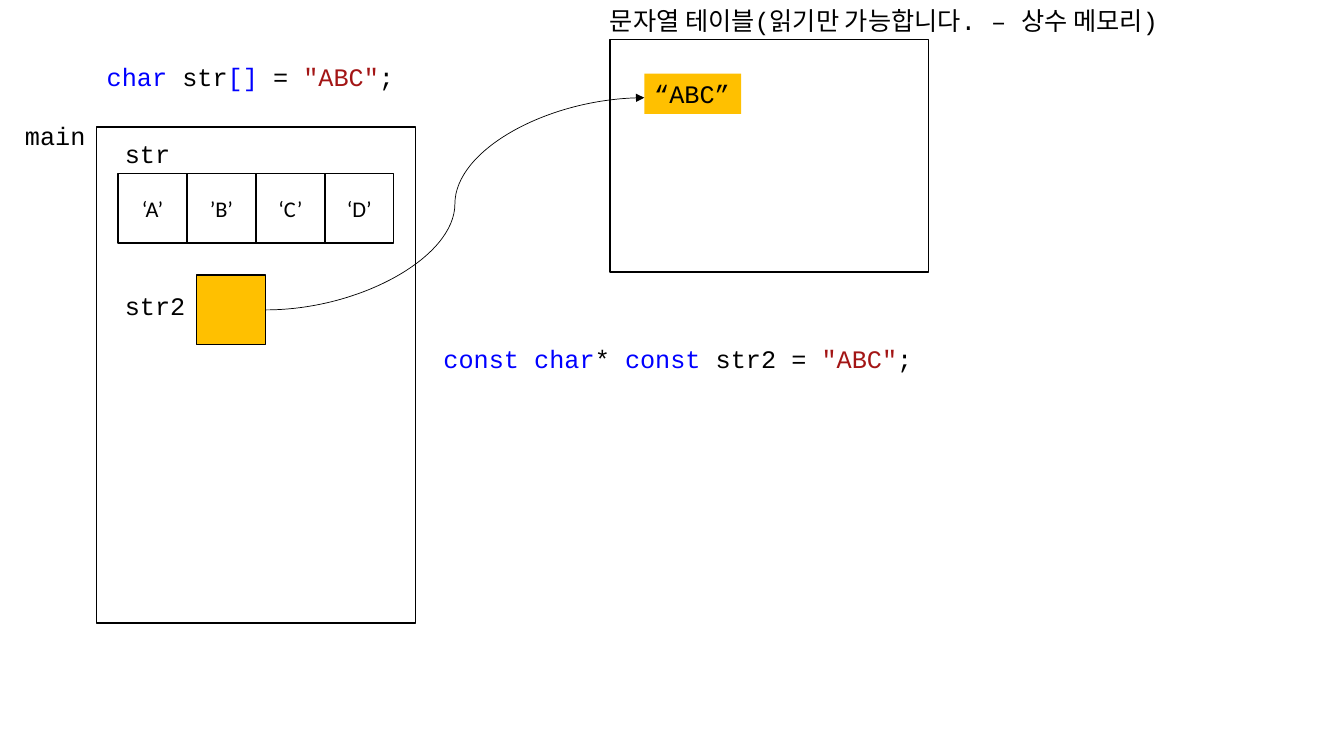
from dataclasses import dataclass
from lxml.etree import SubElement
from pptx import Presentation
from pptx.dml.color import RGBColor
from pptx.enum.shapes import MSO_CONNECTOR, MSO_SHAPE
from pptx.enum.text import MSO_ANCHOR, MSO_AUTO_SIZE, PP_ALIGN
from pptx.oxml.ns import qn
from pptx.util import Inches, Pt


@dataclass(frozen=True)
class Theme:
    ink: str = "000000"
    paper: str = "FFFFFF"
    gold: str = "FFC000"
    key: str = "0000FF"
    quote: str = "A31515"
    code: str = "Courier New"
    plain: str = "Calibri"
    large: int = 18
    small: int = 16
    edge: float = 1
    thin: float = 0.5


look = Theme()
deck = Presentation()
deck.slide_width, deck.slide_height = Inches(13.33), Inches(7.5)
slide = deck.slides.add_slide(deck.slide_layouts[6])
shapes = slide.shapes
label_form = dict(word_wrap=False, auto_size=MSO_AUTO_SIZE.SHAPE_TO_FIT_TEXT)
cell_form = dict(word_wrap=True, vertical_anchor=MSO_ANCHOR.MIDDLE)
row = 5.33


def style(item, form):
    for name, value in form.items():
        setattr(item, name, value)


def across(share):
    return round(deck.slide_width * share / 100)


def down(share):
    return round(deck.slide_height * share / 100)


def place(box, x, y, w, h):
    return across(box[0] + x), down(box[1] + y), across(w), down(h)


def write(shape, runs, form, font=look.code, size=look.large, align=PP_ALIGN.LEFT):
    style(shape.text_frame, form)
    line = shape.text_frame.paragraphs[0]
    line.alignment = align
    for text, tint in runs:
        run = line.add_run()
        run.text = text
        style(run.font, dict(name=font, size=Pt(size)))
        run.font.color.rgb = RGBColor.from_string(tint)


def label(box, x, y, w, runs):
    write(shapes.add_textbox(*place(box, x, y, w, row)), runs, label_form)


def block(box, x, y, w, h, fill=look.paper, edge=True):
    shape = shapes.add_shape(MSO_SHAPE.RECTANGLE, *place(box, x, y, w, h))
    shape.shadow.inherit = False
    shape.fill.solid()
    shape.fill.fore_color.rgb = RGBColor.from_string(fill)
    if edge:
        shape.line.color.rgb = RGBColor.from_string(look.ink)
        shape.line.width = Pt(look.edge)
    else:
        shape.line.fill.background()
    return shape


def draw_stack(box):
    side, high = 5.13, 9.2
    block(box, 0, 0, *box[2:])
    label(box, -6.08, -1.6, 6.08, [("main", look.ink)])
    label(box, 0, -9.33, 23.03, [
        ("char", look.key), (" str", look.ink), ("[]", look.key),
        (" = ", look.ink), ('"ABC"', look.quote), (";", look.ink)])
    label(box, 1.35, 0.8, 4.88, [("str", look.ink)])
    for i, text in enumerate(("‘A’", "’B’", "‘C’", "‘D’")):
        cell = block(box, 1.58 + i * side, 6.13, side, high)
        write(cell, [(text, look.ink)], cell_form, look.plain, look.small, PP_ALIGN.CENTER)
    label(box, 1.35, 20.93, 6.08, [("str2", look.ink)])
    return block(box, 7.43, 19.6, side, high, look.gold)


def draw_table(box):
    block(box, 0, 0, *box[2:])
    label(box, -0.75, -box[1], 47.71,
          [("문자열 테이블(읽기만 가능합니다. – 상수 메모리)", look.ink)])
    chip = block(box, 2.55, 4.53, 7.2, row, look.gold, False)
    write(chip, [("“ABC”", look.ink)], label_form)
    return chip


def draw_code(box):
    label(box, 0, 0, box[2], [
        ("const char", look.key), ("* ", look.ink), ("const ", look.key),
        ("str2 = ", look.ink), ('"ABC"', look.quote), (";", look.ink)])


def draw_link(start, end):
    link = shapes.add_connector(
        MSO_CONNECTOR.CURVE,
        start.left + start.width, start.top + start.height // 2,
        end.left, end.top + down(3.2))
    link.line.color.rgb = RGBColor.from_string(look.ink)
    link.line.width = Pt(look.thin)
    SubElement(link.line._get_or_add_ln(), qn("a:tailEnd"), type="triangle")
    SubElement(link._element.spPr, qn("a:effectLst"))


pointer = draw_stack((7.2, 16.8, 23.7, 65.6))
literal = draw_table((45.39, 5.2, 23.7, 30.8))
draw_code((32.26, 44.8, 36.6, row))
draw_link(pointer, literal)
deck.save("out.pptx")
